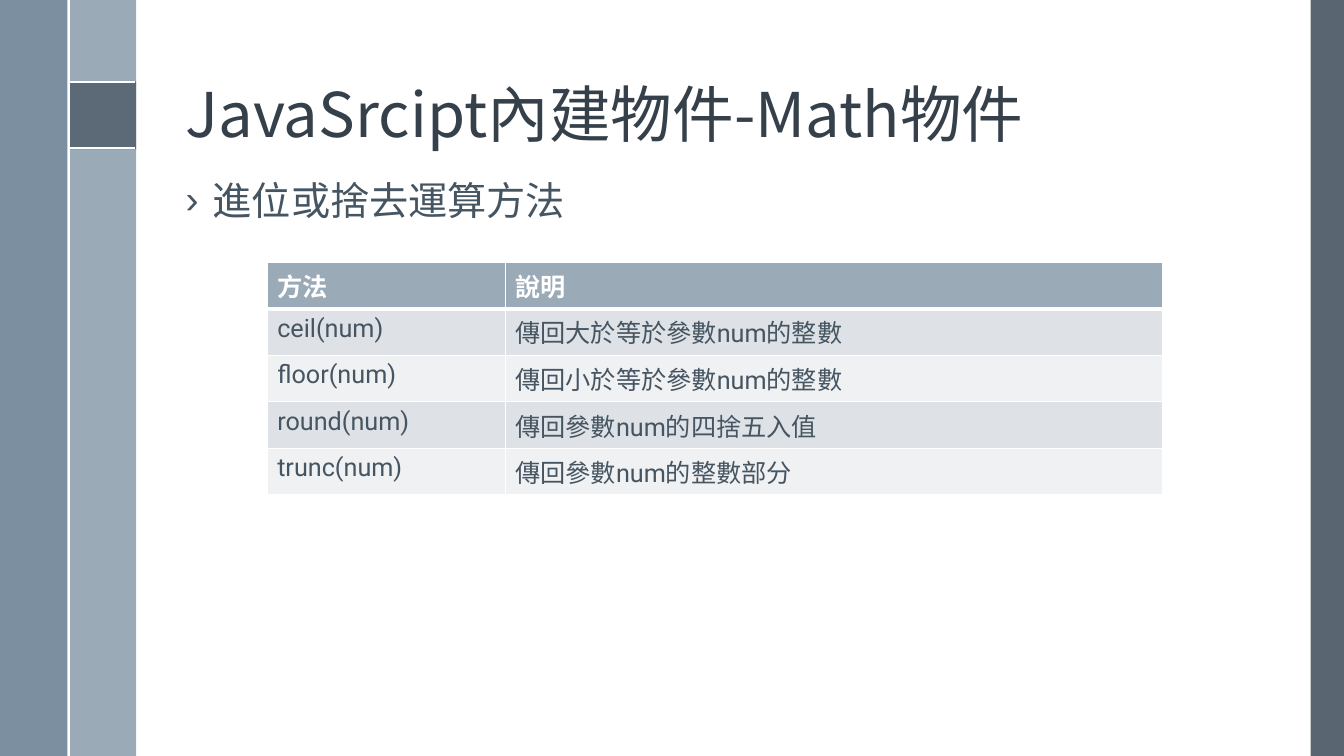
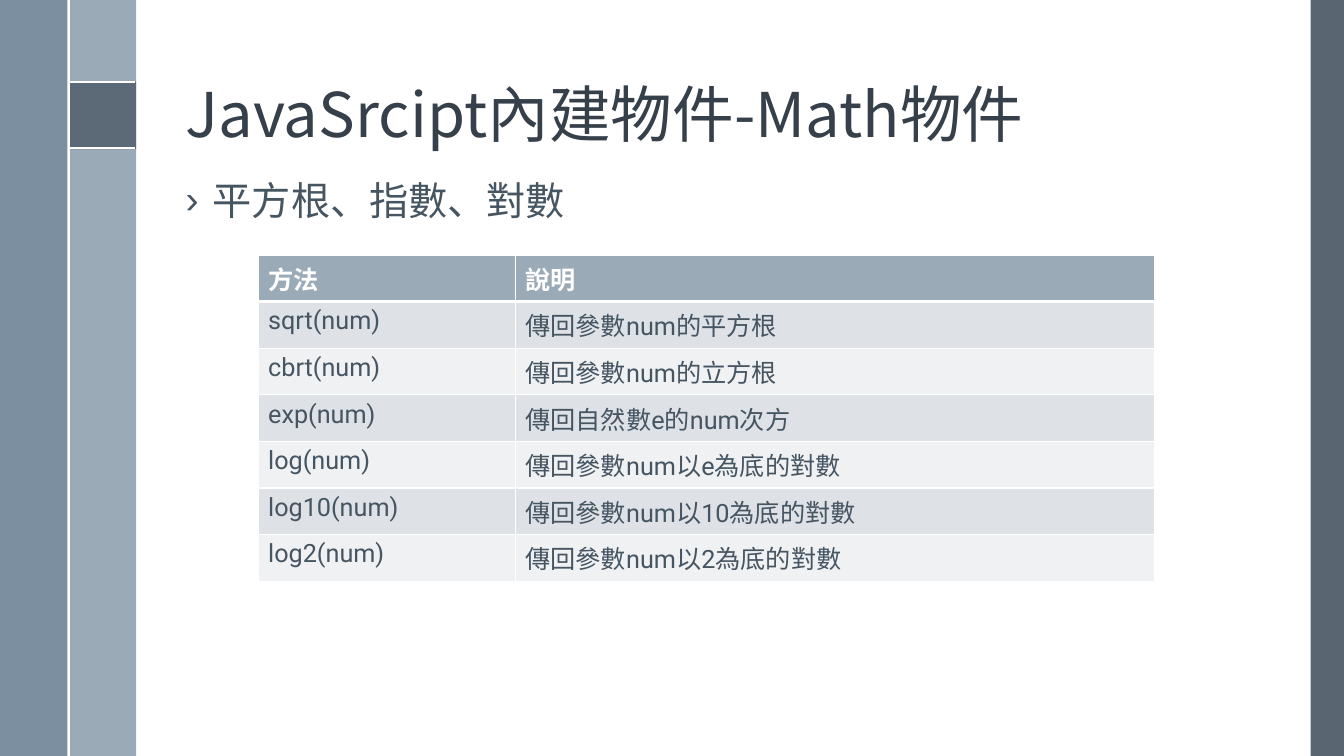
"""Build two slides listing methods of the JavaScript Math object."""
from dataclasses import dataclass

from lxml import etree
from pptx import Presentation
from pptx.dml import color, fill
from pptx.enum import shapes, text
from pptx.oxml import ns
from pptx.util import Emu, Inches, Pt

CJK_FONT = "Noto Sans CJK TC"
TABLE_FONT = "Roboto"
WHITE = "FFFFFF"
SLATE = "475562"
MIST = "9BAAB7"
STEEL = "6A8093"
TITLE_COLOUR = "35404A"
TEXT_COLOUR = "465562"
STRIPES = ("DEE2E6", "EFF1F3")
HEADER = ("方法", "說明")
TITLE = "JavaSrcipt內建物件-Math物件"
PAGE_WIDTH, PAGE_HEIGHT = 13.33, 7.5
TEXT_LEFT, TEXT_WIDTH = 1.74, 10.7
BULLET_INDENT = 0.27


@dataclass(frozen=True)
class Band:
    left: float
    top: float
    width: float
    height: float
    colour: str
    opacity: int = 100


@dataclass(frozen=True)
class Rule:
    start: tuple[float, float]
    end: tuple[float, float]


@dataclass(frozen=True)
class Topic:
    heading: str
    body_height: float
    table_left: float
    table_top: float
    column_widths: tuple[float, float]
    header_height: float
    methods: tuple[tuple[str, str], ...]


BANDS = (
    Band(13, 0, 0.33, PAGE_HEIGHT, SLATE, 90),
    Band(0.68, 0, 0.67, PAGE_HEIGHT, MIST),
    Band(0, 0, 0.67, PAGE_HEIGHT, STEEL, 88),
    Band(0.68, 0.81, 0.67, 0.67, SLATE, 75),
)
RULES = (
    Rule((0.68, 0.81), (1.34, 0.81)),
    Rule((0.68, 1.47), (1.34, 1.47)),
    Rule((0.68, 0), (0.68, PAGE_HEIGHT)),
)
TOPICS = (
    Topic(
        "進位或捨去運算方法", 5.75, 2.65, 2.6, (2.36, 6.52), 0.41,
        (
            ("ceil(num)", "傳回大於等於參數num的整數"),
            ("floor(num)", "傳回小於等於參數num的整數"),
            ("round(num)", "傳回參數num的四捨五入值"),
            ("trunc(num)", "傳回參數num的整數部分"),
        ),
    ),
    Topic(
        "平方根、指數、對數", 5, 2.56, 2.53, (2.55, 6.34), 0.39,
        (
            ("sqrt(num)", "傳回參數num的平方根"),
            ("cbrt(num)", "傳回參數num的立方根"),
            ("exp(num)", "傳回自然數e的num次方"),
            ("log(num)", "傳回參數num以e為底的對數"),
            ("log10(num)", "傳回參數num以10為底的對數"),
            ("log2(num)", "傳回參數num以2為底的對數"),
        ),
    ),
)


def paint(target: fill.FillFormat, colour: str, opacity: int = 100) -> None:
    target.solid()
    target.fore_color.rgb = color.RGBColor.from_string(colour)
    if opacity < 100:
        for tint in target._xPr.iter(ns.qn("a:srgbClr")):
            etree.SubElement(tint, ns.qn("a:alpha"), val=str(opacity * 1000))


def style_text(para, size: float, colour: str, font: str, bold: bool = False) -> None:
    for span in para.runs:
        span.font.size = Pt(size)
        span.font.bold = bold
        span.font.name = font
        paint(span.font.fill, colour)
        east_asian = etree.Element(ns.qn("a:ea"), typeface=CJK_FONT)
        span.font._element.find(ns.qn("a:latin")).addnext(east_asian)


def add_band(page, band: Band) -> None:
    box = page.shapes.add_shape(
        shapes.MSO_SHAPE.RECTANGLE,
        Inches(band.left), Inches(band.top), Inches(band.width), Inches(band.height),
    )
    box.shadow.inherit = False
    box.line.fill.background()
    paint(box.fill, band.colour, band.opacity)


def add_rule(page, rule: Rule) -> None:
    ends = (Inches(value) for value in (*rule.start, *rule.end))
    line = page.shapes.add_connector(shapes.MSO_CONNECTOR.STRAIGHT, *ends)
    line.line.width = Pt(1.5)
    paint(line.line.fill, WHITE)
    etree.SubElement(line._element.spPr, ns.qn("a:effectLst"))


def fill_placeholder(box, words: str, top: float, height: float, anchor):
    box.left, box.top = Inches(TEXT_LEFT), Inches(top)
    box.width, box.height = Inches(TEXT_WIDTH), Inches(height)
    frame = box.text_frame
    frame.text = words
    frame.word_wrap = True
    frame.auto_size = text.MSO_AUTO_SIZE.NONE
    frame.vertical_anchor = anchor
    para = frame.paragraphs[0]
    para.alignment = text.PP_ALIGN.LEFT
    para.line_spacing = 0.9
    para.space_before = Pt(0)
    return para


def add_bullet(para) -> None:
    properties = para._p.get_or_add_pPr()
    properties.set("marL", str(Inches(BULLET_INDENT)))
    properties.set("indent", str(-Inches(BULLET_INDENT)))
    etree.SubElement(properties, ns.qn("a:buChar"), char="›")


def set_borders(cell, top: float, bottom: float) -> None:
    properties = cell._tc.get_or_add_tcPr()
    widths = {"lnL": 1, "lnR": 1, "lnT": top, "lnB": bottom}
    for position, (side, width) in enumerate(widths.items()):
        border = etree.Element(ns.qn(f"a:{side}"), w=str(Pt(width)))
        solid = etree.SubElement(border, ns.qn("a:solidFill"))
        etree.SubElement(solid, ns.qn("a:srgbClr"), val=WHITE)
        properties.insert(position, border)


def add_method_table(page, topic: Topic) -> None:
    rows = (HEADER, *topic.methods)
    heights = [Inches(topic.header_height)] + [Inches(0.41)] * len(topic.methods)
    widths = [Inches(width) for width in topic.column_widths]
    table = page.shapes.add_table(
        len(rows), len(HEADER), Inches(topic.table_left), Inches(topic.table_top),
        Emu(sum(widths)), Emu(sum(heights)),
    ).table
    table.horz_banding = False
    for column, width in zip(table.columns, widths):
        column.width = width
    for index, (row, words) in enumerate(zip(table.rows, rows)):
        row.height = heights[index]
        is_header = index == 0
        for cell, label in zip(row.cells, words):
            cell.text = label
            paint(cell.fill, MIST if is_header else STRIPES[(index - 1) % 2])
            set_borders(cell, 3 if index == 1 else 1, 3 if is_header else 1)
            colour = WHITE if is_header else TEXT_COLOUR
            style_text(cell.text_frame.paragraphs[0], 18, colour, TABLE_FONT, is_header)


def add_page(deck, topic: Topic) -> None:
    page = deck.slides.add_slide(deck.slide_layouts[1])
    for band in BANDS:
        add_band(page, band)
    for rule in RULES:
        add_rule(page, rule)
    title = fill_placeholder(
        page.shapes.title, TITLE, 0.19, 1.36, text.MSO_ANCHOR.BOTTOM
    )
    style_text(title, 44, TITLE_COLOUR, CJK_FONT)
    heading = fill_placeholder(
        page.placeholders[1], topic.heading, 1.75, topic.body_height, text.MSO_ANCHOR.TOP
    )
    add_bullet(heading)
    style_text(heading, 28, TEXT_COLOUR, CJK_FONT)
    add_method_table(page, topic)


def main() -> None:
    deck = Presentation()
    deck.slide_width, deck.slide_height = Inches(PAGE_WIDTH), Inches(PAGE_HEIGHT)
    for topic in TOPICS:
        add_page(deck, topic)
    deck.save("out.pptx")


if __name__ == "__main__":
    main()
